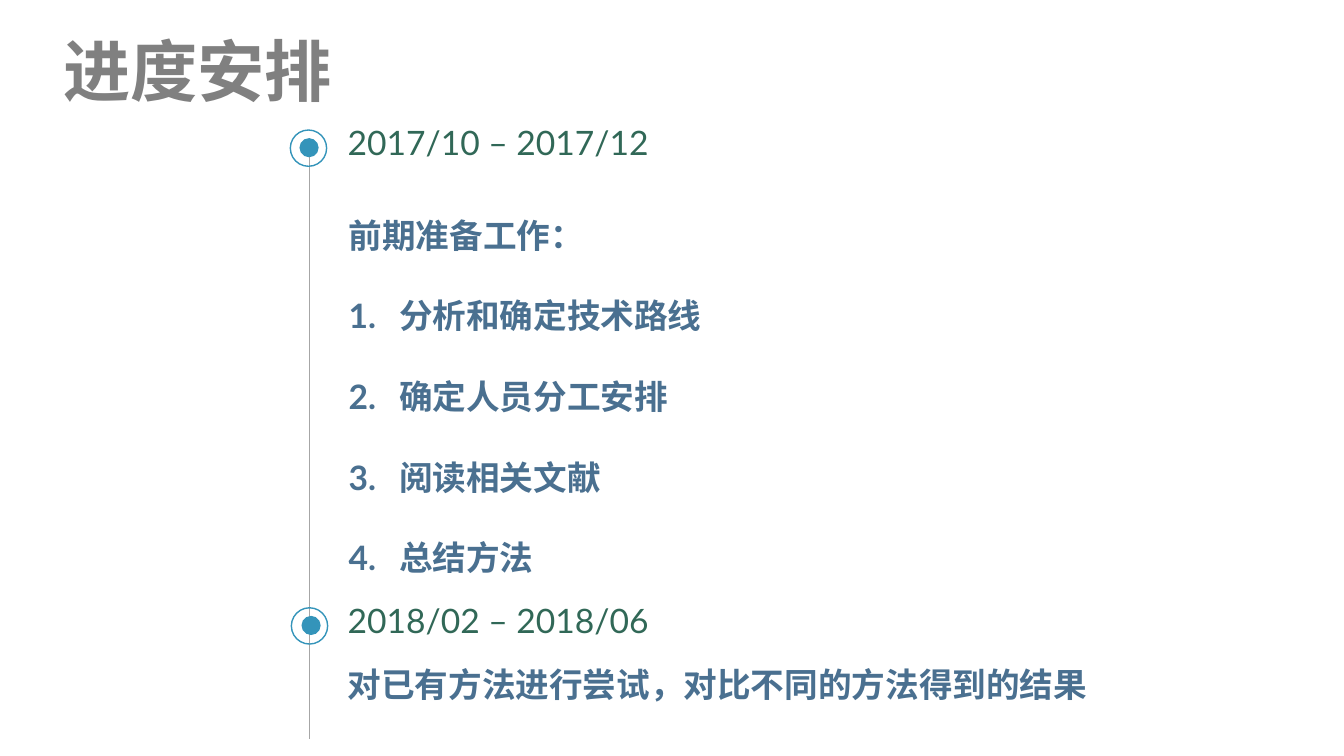
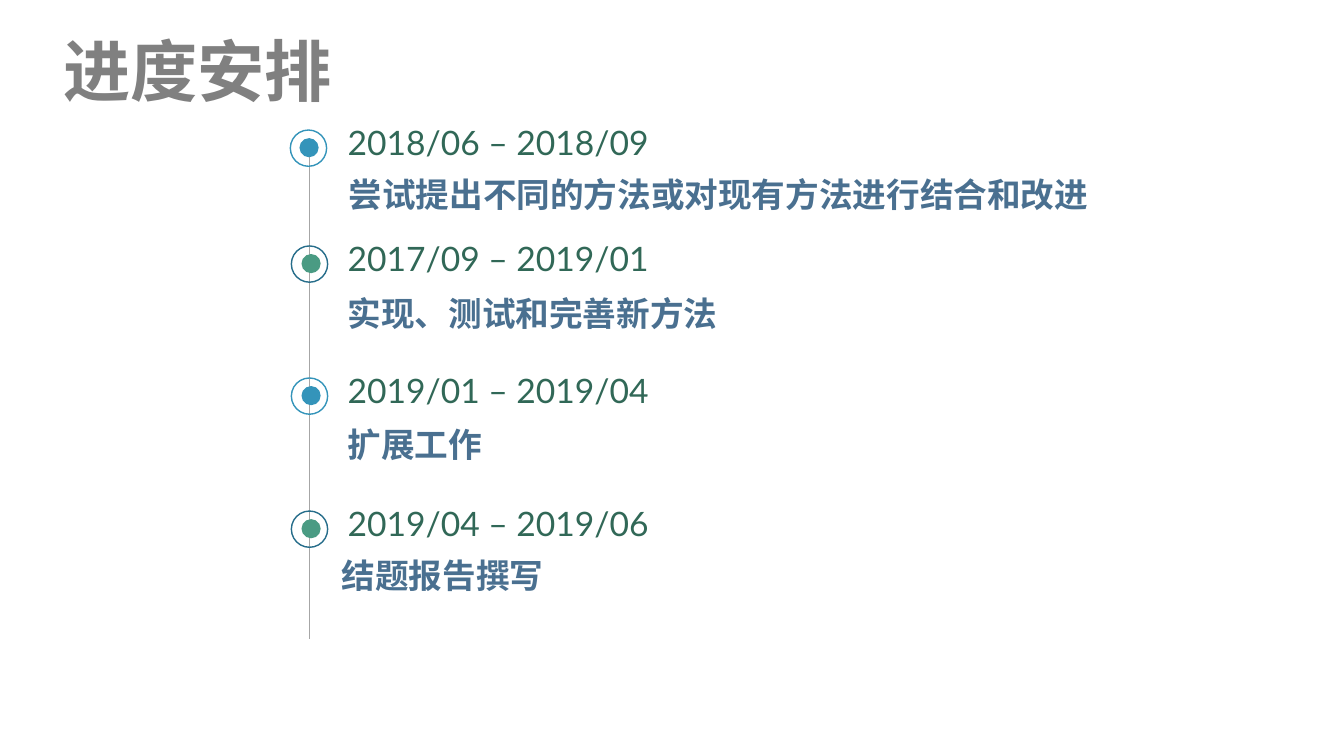
"""Build the two timeline slides of the project schedule."""
import lxml.etree
import pptx
import pptx.dml.color
import pptx.enum.shapes
import pptx.enum.text
import pptx.oxml.ns
import pptx.util

Inches = pptx.util.Inches
Pt = pptx.util.Pt
RGBColor = pptx.dml.color.RGBColor
qn = pptx.oxml.ns.qn

GRAY = RGBColor(0x80, 0x80, 0x80)
AXIS_GRAY = RGBColor(0xA6, 0xA6, 0xA6)
BLUE = RGBColor(0x34, 0x94, 0xBA)
GREEN = RGBColor(0x4A, 0x9B, 0x83)
DEEP_BLUE = RGBColor(0x26, 0x6D, 0x8A)
DATE_GREEN = RGBColor(0x31, 0x68, 0x57)
BODY_BLUE = RGBColor(0x4A, 0x70, 0x90)

MAIN_FONT = "Lato"
BODY_FONT = "Noto Sans CJK SC"
BLUE_MARK = (BLUE, BLUE)
GREEN_MARK = (GREEN, DEEP_BLUE)
FIRST_TOP = 1.16
AXIS_X = 3.07
DATE_LEFT = 3.35


class Timeline:
    def __init__(self):
        self.deck = pptx.Presentation()
        self.deck.slide_width = Inches(13.33)
        self.deck.slide_height = Inches(7.5)
        self.page = None

    def add_page(self, title, axis_bottom):
        self.page = self.deck.slides.add_slide(self.deck.slide_layouts[6])
        self.text((0.53, 0.24, 5.72, 0.82), [title], 48, GRAY, bold=True)
        self.axis(axis_bottom)

    def text(self, area, lines, size, color, font=MAIN_FONT, bold=False, spacing=None):
        box = self.page.shapes.add_textbox(*map(Inches, area))
        frame = box.text_frame
        frame.word_wrap = True
        frame.auto_size = pptx.enum.text.MSO_AUTO_SIZE.NONE
        frame.text = "\n".join(lines)
        for para in frame.paragraphs:
            para.line_spacing = spacing
            para.font.size = Pt(size)
            para.font.bold = bold
            para.font.color.rgb = color
            para.font.name = font
            latin = para.font._element.find(qn("a:latin"))
            east_asian = lxml.etree.Element(qn("a:ea"), typeface=MAIN_FONT)
            latin.addnext(east_asian)
        return frame.paragraphs

    def number(self, para):
        properties = para._p.get_or_add_pPr()
        properties.set("marL", str(Inches(0.5)))
        properties.set("indent", str(-Inches(0.5)))
        numbering = lxml.etree.Element(qn("a:buAutoNum"), type="arabicPeriod")
        properties.find(qn("a:defRPr")).addprevious(numbering)

    def axis(self, bottom):
        line = self.page.shapes.add_connector(
            pptx.enum.shapes.MSO_CONNECTOR.STRAIGHT,
            Inches(AXIS_X), Inches(1.37), Inches(AXIS_X), Inches(bottom))
        line.line.color.rgb = AXIS_GRAY
        line.line.width = Pt(1)
        lxml.etree.SubElement(line._element.spPr, qn("a:effectLst"))

    def circle(self, left, top, size, fill=None, outline=None):
        shape = self.page.shapes.add_shape(
            pptx.enum.shapes.MSO_SHAPE.OVAL, *map(Inches, (left, top, size, size)))
        shape.shadow.inherit = False
        if fill is None:
            shape.fill.background()
        else:
            shape.fill.solid()
            shape.fill.fore_color.rgb = fill
        if outline is None:
            shape.line.fill.background()
        else:
            shape.line.color.rgb = outline
            shape.line.width = Pt(1)

    def stage(self, top, mark, date, body_at, lines, width):
        dot_color, ring_color = mark
        dot_left, ring_left = (2.97, 2.88) if top == FIRST_TOP else (2.99, 2.89)
        self.circle(dot_left, top + 0.21, 0.19, fill=dot_color)
        self.circle(ring_left, top + 0.13, 0.36, outline=ring_color)
        self.text((DATE_LEFT, top, width, 0.5), [date], 24, DATE_GREEN)
        listed = len(lines) > 1
        paragraphs = self.text(
            (*body_at, width, 4.14 if listed else 0.5), lines, 24, BODY_BLUE,
            BODY_FONT, bold=True, spacing=2.0 if listed else None)
        for para in paragraphs[1:]:
            self.number(para)


def main():
    timeline = Timeline()
    pages = [
        (7.33, 7.53, [
            (FIRST_TOP, BLUE_MARK, "2017/10 – 2017/12", (3.36, 1.68),
             ["前期准备工作：", "分析和确定技术路线", "确定人员分工安排",
              "阅读相关文献", "总结方法"]),
            (5.9, BLUE_MARK, "2018/02 – 2018/06", (3.35, 6.54),
             ["对已有方法进行尝试，对比不同的方法得到的结果"]),
        ]),
        (6.34, 7.56, [
            (FIRST_TOP, BLUE_MARK, "2018/06 – 2018/09", (3.36, 1.68),
             ["尝试提出不同的方法或对现有方法进行结合和改进"]),
            (2.31, GREEN_MARK, "2017/09 – 2019/01", (3.35, 2.86),
             ["实现、测试和完善新方法"]),
            (3.62, BLUE_MARK, "2019/01 – 2019/04", (3.35, 4.16), ["扩展工作"]),
            (4.94, GREEN_MARK, "2019/04 – 2019/06", (3.29, 5.46), ["结题报告撰写"]),
        ]),
    ]
    for axis_bottom, width, stages in pages:
        timeline.add_page("进度安排", axis_bottom)
        for stage in stages:
            timeline.stage(*stage, width)
    timeline.deck.save("out.pptx")


if __name__ == "__main__":
    main()
